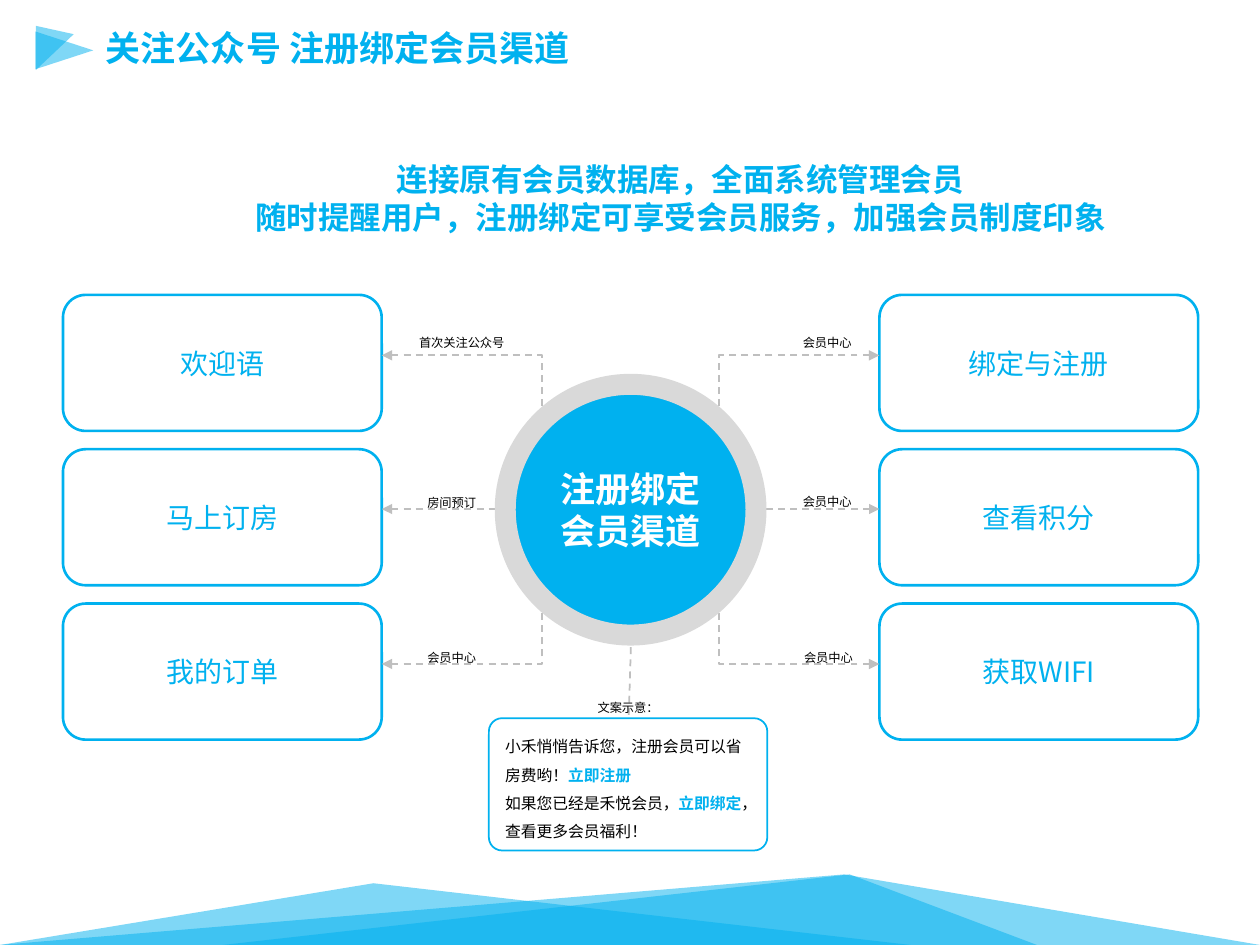
from typing import NamedTuple

from lxml import etree
from pptx import Presentation
from pptx.dml.color import RGBColor
from pptx.enum import dml, shapes, text
from pptx.oxml.ns import qn
from pptx.util import Inches, Pt

BLUE = RGBColor(0x00, 0xB1, 0xEF)
BLACK = RGBColor(0x00, 0x00, 0x00)
WHITE = RGBColor(0xFF, 0xFF, 0xFF)
RING = RGBColor(0xD9, 0xD9, 0xD9)
DASH = RGBColor(0xBF, 0xBF, 0xBF)
FONT = "Noto Sans CJK SC"
SHAPE = shapes.MSO_SHAPE
CENTER, LEFT = text.PP_ALIGN.CENTER, text.PP_ALIGN.LEFT
TOP, MIDDLE = text.MSO_ANCHOR.TOP, text.MSO_ANCHOR.MIDDLE


class Box(NamedTuple):
    left: float
    top: float
    width: float
    height: float

    def inches(self) -> list:
        return [Inches(value) for value in self]


class Run(NamedTuple):
    text: str
    color: RGBColor
    bold: bool = False


class Triangle(NamedTuple):
    box: Box
    apex: float
    rotation: int = 0


class Label(NamedTuple):
    text: str
    left: float
    top: float
    width: float = 0.83


def write(shape, paragraphs: list, size: float, align=CENTER, anchor=MIDDLE, spacing: float = 1.0) -> None:
    frame = shape.text_frame
    for name, value in {"word_wrap": True, "vertical_anchor": anchor,
                        "auto_size": text.MSO_AUTO_SIZE.NONE}.items():
        setattr(frame, name, value)
    for index, runs in enumerate(paragraphs):
        paragraph = frame.add_paragraph() if index else frame.paragraphs[0]
        for name, value in {"alignment": align, "line_spacing": spacing,
                            "space_before": Pt(0), "space_after": Pt(0)}.items():
            setattr(paragraph, name, value)
        for part in runs:
            run = paragraph.add_run()
            run.text = part.text
            for name, value in {"name": FONT, "size": Pt(size), "bold": part.bold}.items():
                setattr(run.font, name, value)
            run.font.color.rgb = part.color
            etree.SubElement(run.font._element, qn("a:ea")).set("typeface", FONT)


def place(shape, box: Box) -> None:
    shape.left, shape.top, shape.width, shape.height = box.inches()


def add_panel(slide, kind, box: Box, fill=None, line=None, weight: float = 1, adjust=None):
    panel = slide.shapes.add_shape(kind, *box.inches())
    panel.shadow.inherit = False
    if fill is None:
        panel.fill.background()
    else:
        panel.fill.solid()
        panel.fill.fore_color.rgb = fill
    if line is None:
        panel.line.fill.background()
    else:
        panel.line.color.rgb = line
        panel.line.width = Pt(weight)
    if adjust is not None:
        panel.adjustments[0] = adjust
    return panel


def add_triangle(slide, triangle: Triangle) -> None:
    """Half-transparent decoration."""
    panel = add_panel(slide, SHAPE.ISOSCELES_TRIANGLE, triangle.box, BLUE, adjust=triangle.apex)
    panel.rotation = triangle.rotation
    color = panel._element.spPr.find(qn("a:solidFill"))[0]
    etree.SubElement(color, qn("a:alpha")).set("val", "50000")


def add_dashed(slide, start: tuple, end: tuple, arrow: bool = True) -> None:
    """Dashed link with its arrowhead at start; it turns once if the ends differ in both axes."""
    bent = arrow and start[1] != end[1]
    kind = shapes.MSO_CONNECTOR.ELBOW if bent else shapes.MSO_CONNECTOR.STRAIGHT
    link = slide.shapes.add_connector(kind, *(Inches(value) for value in (*start, *end)))
    link.line.color.rgb = DASH
    link.line.width = Pt(1)
    link.line.dash_style = dml.MSO_LINE.DASH
    properties = link._element.spPr
    if bent:
        properties.find(qn("a:prstGeom")).set("prst", "bentConnector2")
    if arrow:
        etree.SubElement(properties.find(qn("a:ln")), qn("a:headEnd")).set("type", "triangle")
    etree.SubElement(properties, qn("a:effectLst"))


TRIANGLES = [
    Triangle(Box(0, 6.94, 10, 0.56), 0.67),
    Triangle(Box(0, 7.01, 7.23, 0.49), 0.41),
    Triangle(Box(1.77, 6.94, 6.46, 0.56), 0.77),
    Triangle(Box(0.26, 0.23, 0.35, 0.3), 0.19, 90),
    Triangle(Box(0.36, 0.17, 0.3, 0.46), 0.5, 90),
]
CARD_WIDTH, CARD_HEIGHT, CARD_TOP, CARD_PITCH = 2.53, 1.08, 2.34, 1.225
CARD_COLUMNS = {
    0.5: ["欢迎语", "马上订房", "我的订单"],
    6.98: ["绑定与注册", "查看积分", "获取WIFI"],
}
# Link ends: the card edge, then the points on the ring for each row
LINKS = {
    3.03: [(4.3, 3.34), (4.01, 4.04), (4.3, 4.75)],
    6.98: [(5.71, 3.34), (6, 4.04), (5.71, 4.75)],
}
LINK_ROWS = [2.82, 4.04, 5.27]
LABELS = [
    Label("会员中心", 6.15, 2.59),
    Label("会员中心", 6.15, 3.85),
    Label("会员中心", 6.16, 5.09),
    Label("首次关注公众号", 3.18, 2.59, 0.97),
    Label("房间预订", 3.17, 3.86),
    Label("会员中心", 3.17, 5.09),
    Label("文案示意：", 4.57, 5.49),
]
MESSAGE = [
    [Run("小禾悄悄告诉您，注册会员可以省房费哟！", BLACK), Run("立即注册", BLUE, True)],
    [Run("如果您已经是禾悦会员，", BLACK), Run("立即绑定", BLUE, True),
     Run("，查看更多会员福利！", BLACK)],
]
HEADLINE = ["连接原有会员数据库，全面系统管理会员",
            "随时提醒用户，注册绑定可享受会员服务，加强会员制度印象"]


def main() -> None:
    deck = Presentation()
    deck.slide_width, deck.slide_height = Inches(10), Inches(7.5)
    slide = deck.slides.add_slide(deck.slide_layouts[1])
    title, headline = slide.placeholders

    place(title, Box(0.74, 0.16, 4.54, 0.44))
    write(title, [[Run("关注公众号 注册绑定会员渠道", BLUE, True)]], 20, LEFT, TOP)
    place(headline, Box(1.77, 1.22, 7.26, 0.71))
    write(headline, [[Run(line, BLUE, True)] for line in HEADLINE], 18, anchor=TOP)
    for paragraph in headline.text_frame.paragraphs:
        properties = paragraph._p.get_or_add_pPr()
        properties.set("marL", "0")
        properties.set("indent", "0")
        etree.SubElement(properties, qn("a:buNone"))

    add_dashed(slide, (5.01, 5.04), (4.99, 5.7), arrow=False)
    for triangle in TRIANGLES:
        add_triangle(slide, triangle)

    for left, names in CARD_COLUMNS.items():
        for row, name in enumerate(names):
            box = Box(left, CARD_TOP + row * CARD_PITCH, CARD_WIDTH, CARD_HEIGHT)
            card = add_panel(slide, SHAPE.ROUNDED_RECTANGLE, box, line=BLUE, weight=1.5)
            write(card, [[Run(name, BLUE)]], 16)

    for edge, ring_points in LINKS.items():
        for row_y, ring_point in zip(LINK_ROWS, ring_points):
            add_dashed(slide, (edge, row_y), ring_point)

    hub = add_panel(slide, SHAPE.OVAL, Box(4.01, 3.05, 1.99, 1.99), BLUE, RING, 12)
    write(hub, [[Run("注册绑定会员渠道", WHITE, True)]], 20)

    message = add_panel(slide, SHAPE.ROUNDED_RECTANGLE, Box(3.88, 5.7, 2.21, 1.05),
                        line=BLUE, adjust=0.1)
    write(message, MESSAGE, 9, LEFT, spacing=1.5)

    for label in LABELS:
        tag = add_panel(slide, SHAPE.ROUNDED_RECTANGLE,
                        Box(label.left, label.top, label.width, 0.2), adjust=0.1)
        write(tag, [[Run(label.text, BLACK)]], 7, spacing=1.5)

    deck.save("out.pptx")


if __name__ == "__main__":
    main()
